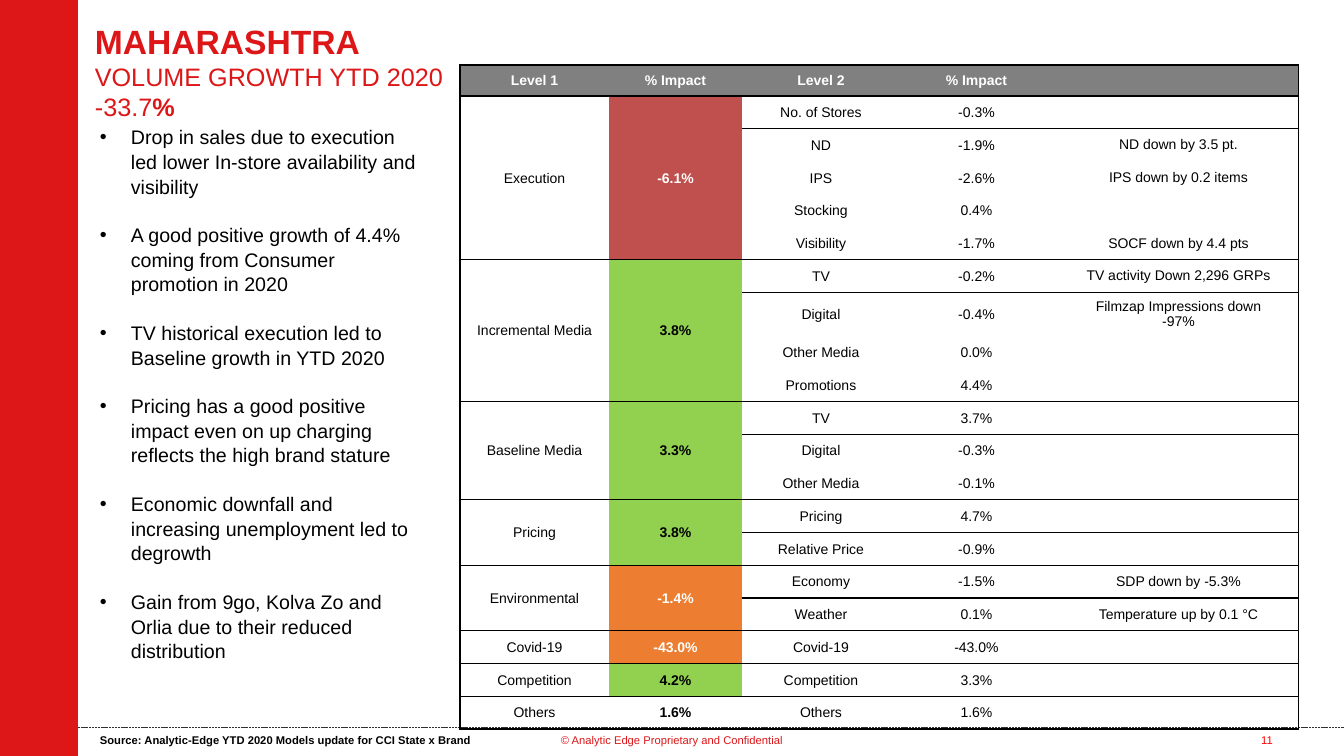
from lxml import etree
from pptx import Presentation
from pptx import util as u
from pptx.dml.color import RGBColor
from pptx.enum import dml, shapes, text
from pptx.oxml.ns import qn

RED, BLACK, WHITE, GREY = "DD1618", "000000", "FFFFFF", "808080"
BRICK, GREEN, ORANGE = "C0504D", "92D050", "ED7D31"
CENTER = text.PP_ALIGN.CENTER


def px(n):
    return int(n * 914400 / 100.8)


def add_span(para, words, size, color, bold=False):
    span = para.add_run()
    span.text = words
    span.font.name = "Arial"
    span.font.size = u.Pt(size)
    span.font.bold = bold
    span.font.color.rgb = RGBColor.from_string(color)


deck = Presentation()
deck.slide_width, deck.slide_height = px(1344), px(756)
page = deck.slides.add_slide(deck.slide_layouts[6])

# Footer rule and side band
rule = page.shapes.add_connector(
    shapes.MSO_CONNECTOR.STRAIGHT, px(72), px(727), px(1344), px(727))
rule.line.color.rgb = RGBColor.from_string("2E2E30")
rule.line.width = u.Pt(0.5)
rule.line.dash_style = dml.MSO_LINE.SQUARE_DOT
etree.SubElement(rule._element.spPr, qn("a:effectLst"))

band = page.shapes.add_shape(
    shapes.MSO_SHAPE.RECTANGLE, 0, 0, px(78), px(756))
band.shadow.inherit = False
band.fill.solid()
band.fill.fore_color.rgb = RGBColor.from_string(RED)
band.line.fill.background()

# Footer texts: left, width, height, wording, colour, bold, alignment
footers = [
    (531, 282, 40, "© Analytic Edge Proprietary and Confidential", RED, False, CENTER),
    (1236, 62, 40, "11", "FF0000", False, CENTER),
    (90, 392, 24, "Source: Analytic-Edge YTD 2020 Models update for CCI State x Brand",
     BLACK, True, text.PP_ALIGN.LEFT),
]
for left, width, height, words, color, bold, align in footers:
    box = page.shapes.add_textbox(px(left), px(728), px(width), px(height))
    box.text_frame.word_wrap = True
    para = box.text_frame.paragraphs[0]
    para.alignment = align
    add_span(para, words, 8, color, bold)

# Title
title = page.shapes.add_textbox(px(85), px(12), px(1033), px(87))
title.text_frame.word_wrap = True
title.text_frame.margin_top = px(9)
para = title.text_frame.paragraphs[0]
add_span(para, "MAHARASHTRA", 24, RED, True)
para.add_line_break()
add_span(para, "VOLUME GROWTH YTD 2020", 18, RED)
para.add_line_break()
add_span(para, "-33.7", 18, RED)
add_span(para, "%", 18, RED, True)

# Impact table: level 1, impact, fill, text colour, then its level 2 rows
groups = [
    ("Execution", "-6.1%", BRICK, WHITE, [
        ("No. of Stores", "-0.3%", ""),
        ("ND", "-1.9%", "ND down by 3.5 pt."),
        ("IPS", "-2.6%", "IPS down by 0.2 items"),
        ("Stocking", "0.4%", ""),
        ("Visibility", "-1.7%", "SOCF down by 4.4 pts")]),
    ("Incremental Media", "3.8%", GREEN, BLACK, [
        ("TV", "-0.2%", "TV activity Down 2,296 GRPs"),
        ("Digital", "-0.4%", "Filmzap Impressions down\n-97%"),
        ("Other Media", "0.0%", ""),
        ("Promotions", "4.4%", "")]),
    ("Baseline Media", "3.3%", GREEN, BLACK, [
        ("TV", "3.7%", ""),
        ("Digital", "-0.3%", ""),
        ("Other Media", "-0.1%", "")]),
    ("Pricing", "3.8%", GREEN, BLACK, [
        ("Pricing", "4.7%", ""),
        ("Relative Price", "-0.9%", "")]),
    ("Environmental", "-1.4%", ORANGE, WHITE, [
        ("Economy", "-1.5%", "SDP down by -5.3%"),
        ("Weather", "0.1%", "Temperature up by 0.1 °C")]),
    ("Covid-19", "-43.0%", ORANGE, WHITE, [("Covid-19", "-43.0%", "")]),
    ("Competition", "4.2%", GREEN, BLACK, [("Competition", "3.3%", "")]),
    ("Others", "1.6%", None, BLACK, [("Others", "1.6%", "")]),
]
header = ("Level 1", "% Impact", "Level 2", "% Impact", "")

# Each row: five texts, first row of its group, last row of its group
rows = [(header, True, True)]
styles = [(GREY, WHITE)]
for level, impact, fill, color, details in groups:
    for i, detail in enumerate(details):
        lead = (level, impact) if i == 0 else ("", "")
        rows.append((lead + detail, i == 0, i == len(details) - 1))
        styles.append((fill, color))

frame = page.shapes.add_table(len(rows), 5, px(460), px(65), px(839), px(663))
table = frame.table
table.first_row = table.horz_banding = False
no_style = "{2D5ABB26-0587-4C30-8999-92F81FD0307C}"
table._tbl.tblPr.find(qn("a:tableStyleId")).text = no_style
for column, width in zip(table.columns, (149, 133, 158, 153, 246)):
    column.width = px(width)

for r, (words, first, last) in enumerate(rows):
    two_lines = "\n" in words[4]
    table.rows[r].height = px(31) if r == 0 else px(42) if two_lines else px(590) // 18
    fill, color = styles[r]
    for c, entry in enumerate(words):
        cell = table.cell(r, c)
        cell.vertical_anchor = text.MSO_ANCHOR.MIDDLE
        note = c == 4
        cell.margin_left = px(10 if note else 1)
        cell.margin_right = px(5 if note else 1)
        cell.margin_top = px(5 if note else 1)
        cell.margin_bottom = px(5 if note else 0)

        # Borders around groups and at the outer edges
        whole_group = c < 2
        sides = [("a:lnL", c == 0), ("a:lnR", note), ("a:lnT", first),
                 ("a:lnB", last or whole_group and first)]
        for tag in [tag for tag, drawn in sides if drawn]:
            edge = etree.SubElement(cell._tc.get_or_add_tcPr(), qn(tag), w="12700")
            paint = etree.SubElement(edge, qn("a:solidFill"))
            etree.SubElement(paint, qn("a:srgbClr"), val=BLACK)

        colored = r == 0 or c == 1
        if colored and fill:
            cell.fill.solid()
            cell.fill.fore_color.rgb = RGBColor.from_string(fill)
        else:
            cell.fill.background()

        for i, line in enumerate(entry.split("\n")):
            body = cell.text_frame
            para = body.add_paragraph() if i else body.paragraphs[0]
            para.alignment = CENTER
            if line:
                add_span(para, line, 10, color if colored else BLACK, colored)
            else:
                etree.SubElement(para._p, qn("a:endParaRPr"), sz="1000")

# Join the level 1 cells of each group
top = 1
for group in groups:
    bottom = top + len(group[4]) - 1
    if bottom > top:
        for c in (0, 1):
            table.cell(top, c).merge(table.cell(bottom, c))
    top = bottom + 1

# Commentary bullets
comments = [
    "Drop in sales due to execution led lower In-store availability and visibility",
    "A good positive growth of 4.4% coming from Consumer promotion in 2020",
    "TV historical execution led to Baseline growth in YTD 2020",
    "Pricing has a good positive impact even on up charging reflects the high brand stature",
    "Economic downfall and increasing unemployment led to degrowth",
    "Gain from 9go, Kolva Zo and Orlia due to their reduced distribution",
]
box = page.shapes.add_textbox(px(90), px(119), px(346), px(532))
box.text_frame.word_wrap = True
for i, comment in enumerate(comments):
    para = box.text_frame.add_paragraph() if i else box.text_frame.paragraphs[0]
    para.line_spacing = 1.05
    para.space_before = u.Pt(17 if i else 0)
    props = para._p.get_or_add_pPr()
    props.set("marL", str(px(31)))
    props.set("indent", str(-px(31)))
    etree.SubElement(props, qn("a:buFont"), typeface="Arial")
    etree.SubElement(props, qn("a:buChar"), char="•")
    add_span(para, comment, 14, BLACK)

deck.save("out.pptx")
